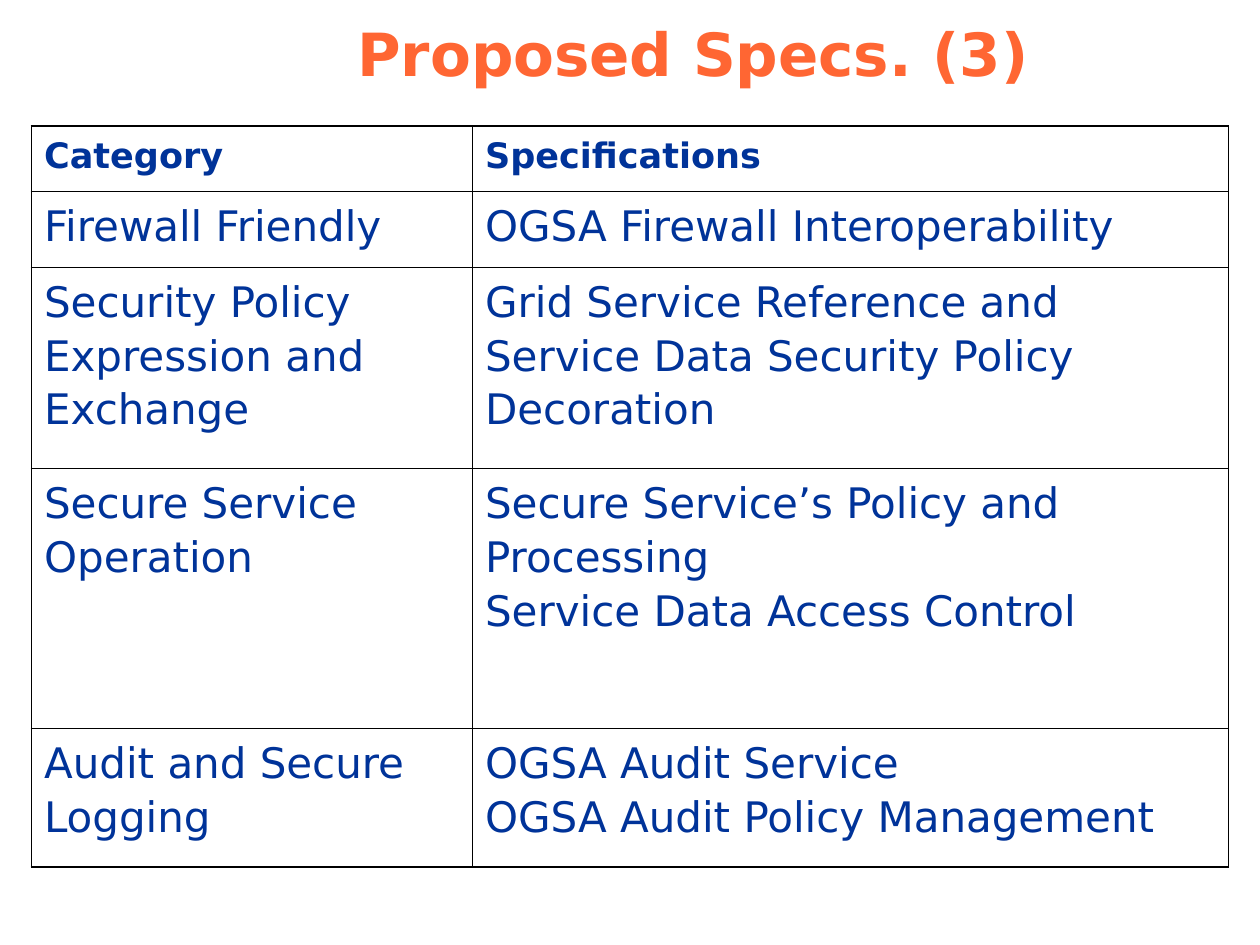
from pptx import Presentation
from pptx.dml.color import RGBColor
from pptx.enum.text import MSO_ANCHOR, MSO_AUTO_SIZE, PP_ALIGN
from pptx.oxml import parse_xml
from pptx.oxml.ns import nsdecls
from pptx.util import Pt


def tint(code):
    return RGBColor.from_string(code)


def style(para, size, code, bold):
    for run in para.runs:
        font = run.font
        font.name = "DejaVu Sans"
        font.size = Pt(size)
        font.bold = bold
        font.color.rgb = tint(code)


deck = Presentation()
deck.slide_width, deck.slide_height = Pt(720), Pt(540)
slide = deck.slides.add_slide(deck.slide_layouts[5])

title = slide.shapes.title
title.left, title.top, title.width, title.height = Pt(186), Pt(6), Pt(420), Pt(48)
title.fill.solid()
title.fill.fore_color.rgb = tint("FFFFFF")
frame = title.text_frame
frame.text = "Proposed Specs. (3)"
frame.word_wrap = True
frame.auto_size = MSO_AUTO_SIZE.NONE
frame.vertical_anchor = MSO_ANCHOR.BOTTOM
frame.paragraphs[0].alignment = PP_ALIGN.CENTER
style(frame.paragraphs[0], 34, "FF6633", True)

rows = [
    ("Category", "Specifications"),
    ("Firewall Friendly", "OGSA Firewall Interoperability"),
    ("Security Policy Expression and Exchange",
     "Grid Service Reference and Service Data Security Policy Decoration"),
    ("Secure Service Operation",
     "Secure Service’s Policy and Processing\vService Data Access Control"),
    ("Audit and Secure Logging",
     "OGSA Audit Service\vOGSA Audit Policy Management"),
]
highs = [37.2, 43.4, 115.2, 148.5, 79.2]
wides = [252, 432]

table = slide.shapes.add_table(
    len(rows), len(wides), Pt(18), Pt(72), Pt(sum(wides)), Pt(sum(highs))).table
table.first_row = False
table.horz_banding = False
for col, wide in zip(table.columns, wides):
    col.width = Pt(wide)

for r, (row, high) in enumerate(zip(rows, highs)):
    table.rows[r].height = Pt(high)
    for c, text in enumerate(row):
        cell = table.cell(r, c)
        cell.text_frame.text = text
        para = cell.text_frame.paragraphs[0]
        para.line_spacing = 1.1
        style(para, 24 if r else 20, "003399", r == 0)

        edges = {"L": c == 0, "R": c == len(wides) - 1,
                 "T": r == 0, "B": r == len(rows) - 1}
        props = cell._tc.get_or_add_tcPr()
        for side, outer in edges.items():
            width = Pt(1.08 if outer else 0.45)
            props.append(parse_xml(
                f'<a:ln{side} {nsdecls("a")} w="{width}"><a:solidFill>'
                f'<a:srgbClr val="000000"/></a:solidFill></a:ln{side}>'))
        cell.fill.background()

deck.save("out.pptx")
